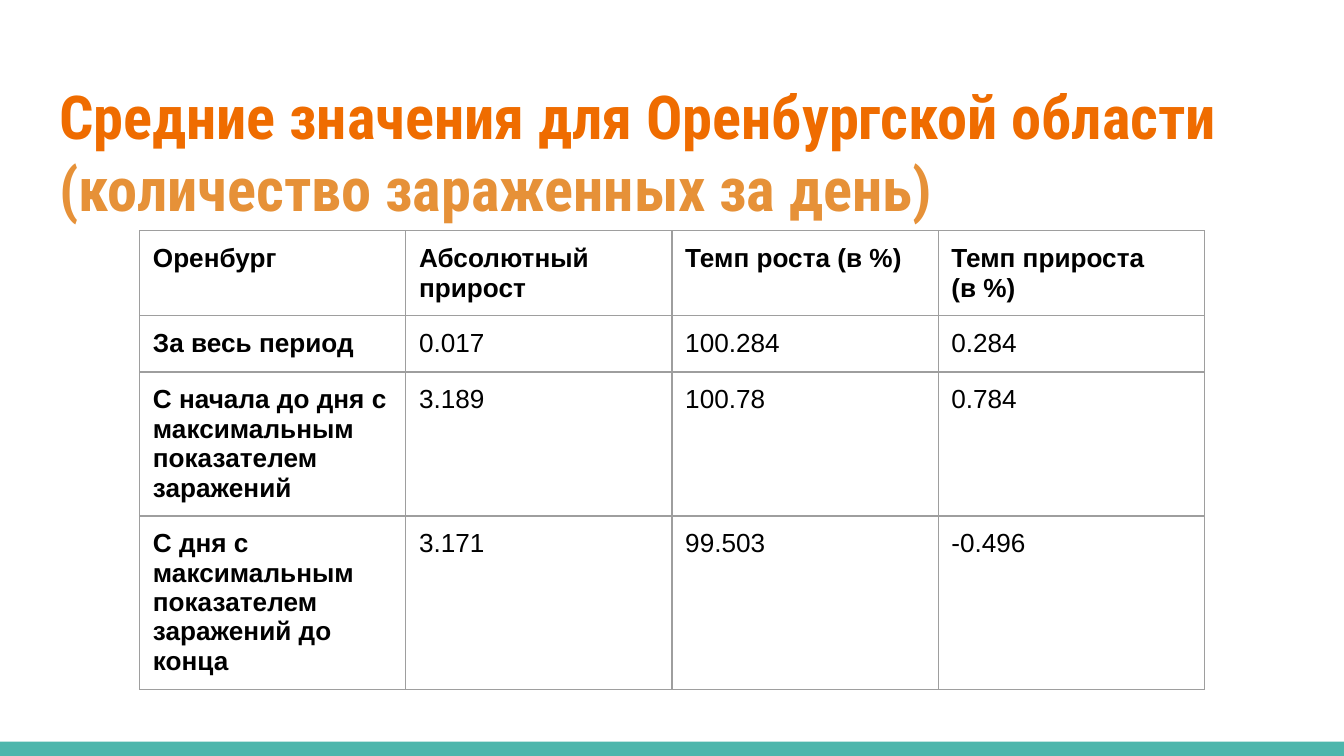
"""Builds the slide with average infection figures for the Orenburg region."""
from lxml.etree import SubElement
from pptx import Presentation
from pptx.dml.color import RGBColor
from pptx.enum.shapes import MSO_SHAPE
from pptx.enum.text import MSO_ANCHOR, MSO_AUTO_SIZE, PP_ALIGN
from pptx.oxml.ns import qn
from pptx.util import Cm, Pt

COLORS = {
    "title": "EF6C00",
    "subtitle": "E69138",
    "band": "4DB6AC",
    "text": "000000",
    "border": "9E9E9E",
}
SLIDE_WIDTH, SLIDE_HEIGHT = Cm(25.4), Cm(14.29)
BAND_HEIGHT = Cm(0.27)
INSET = Cm(0.25)
COLUMN_WIDTH, ROW_HEIGHT = Cm(5.03), Cm(1.06)

TITLE_PARTS = [
    ("Средние значения для Оренбургской области ", "title"),
    ("(количество зараженных за день)", "subtitle"),
]
ROWS = [
    ["Оренбург", "Абсолютный прирост", "Темп роста (в %)", "Темп прироста\n(в %)"],
    ["За весь период", "0.017", "100.284", "0.284"],
    ["С начала до дня с максимальным показателем заражений", "3.189", "100.78", "0.784"],
    ["С дня с максимальным показателем заражений до конца", "3.171", "99.503", "-0.496"],
]


class SlideBuilder:
    """Holds the style and the current slide."""

    def __init__(self, slide):
        self.slide = slide
        self.title_font, self.title_size = "Roboto Condensed", Pt(32.4)
        self.table_font, self.table_size = "Arial", Pt(14)

    def format_font(self, font, name, size, color, bold):
        font.name, font.size, font.bold = name, size, bold
        font.color.rgb = RGBColor.from_string(COLORS[color])

    def set_insets(self, target):
        target.margin_left = target.margin_right = INSET
        target.margin_top = target.margin_bottom = INSET

    def add_band(self):
        top = SLIDE_HEIGHT - BAND_HEIGHT
        band = self.slide.shapes.add_shape(MSO_SHAPE.RECTANGLE, 0, top, SLIDE_WIDTH, BAND_HEIGHT)
        band.shadow.inherit = False
        band.fill.solid()
        band.fill.fore_color.rgb = RGBColor.from_string(COLORS["band"])
        band.line.fill.background()

    def add_title(self, parts):
        title = self.slide.shapes.title
        title.left, title.top, title.width, title.height = Cm(0.87), Cm(1.24), Cm(23.67), Cm(1.96)
        text_frame = title.text_frame
        self.set_insets(text_frame)
        text_frame.word_wrap = True
        text_frame.auto_size = MSO_AUTO_SIZE.NONE
        text_frame.vertical_anchor = MSO_ANCHOR.TOP
        paragraph = text_frame.paragraphs[0]
        paragraph.alignment = PP_ALIGN.LEFT
        for text, color in parts:
            run = paragraph.add_run()
            run.text = text
            self.format_font(run.font, self.title_font, self.title_size, color, True)

    def add_borders(self, cell):
        properties = cell._tc.get_or_add_tcPr()
        for position, side in enumerate(("lnL", "lnR", "lnT", "lnB")):
            line = SubElement(properties, qn(f"a:{side}"), w=str(Pt(0.75)))
            fill = SubElement(line, qn("a:solidFill"))
            SubElement(fill, qn("a:srgbClr"), val=COLORS["border"])
            properties.insert(position, line)

    def add_table(self, rows, left, top):
        row_count, column_count = len(rows), len(rows[0])
        table = self.slide.shapes.add_table(
            row_count, column_count, left, top,
            COLUMN_WIDTH * column_count, ROW_HEIGHT * row_count,
        ).table
        table.first_row = table.horz_banding = False
        for row_index, row in enumerate(rows):
            for column_index, text in enumerate(row):
                cell = table.cell(row_index, column_index)
                cell.text_frame.text = text
                cell.fill.background()
                self.set_insets(cell)
                self.add_borders(cell)
                bold = row_index == 0 or column_index == 0
                for paragraph in cell.text_frame.paragraphs:
                    for run in paragraph.runs:
                        self.format_font(run.font, self.table_font, self.table_size, "text", bold)


def main():
    presentation = Presentation()
    presentation.slide_width, presentation.slide_height = SLIDE_WIDTH, SLIDE_HEIGHT
    slide = presentation.slides.add_slide(presentation.slide_layouts[5])
    builder = SlideBuilder(slide)
    builder.add_band()
    builder.add_title(TITLE_PARTS)
    builder.add_table(ROWS, Cm(2.64), Cm(4.36))
    presentation.save("out.pptx")


if __name__ == "__main__":
    main()
